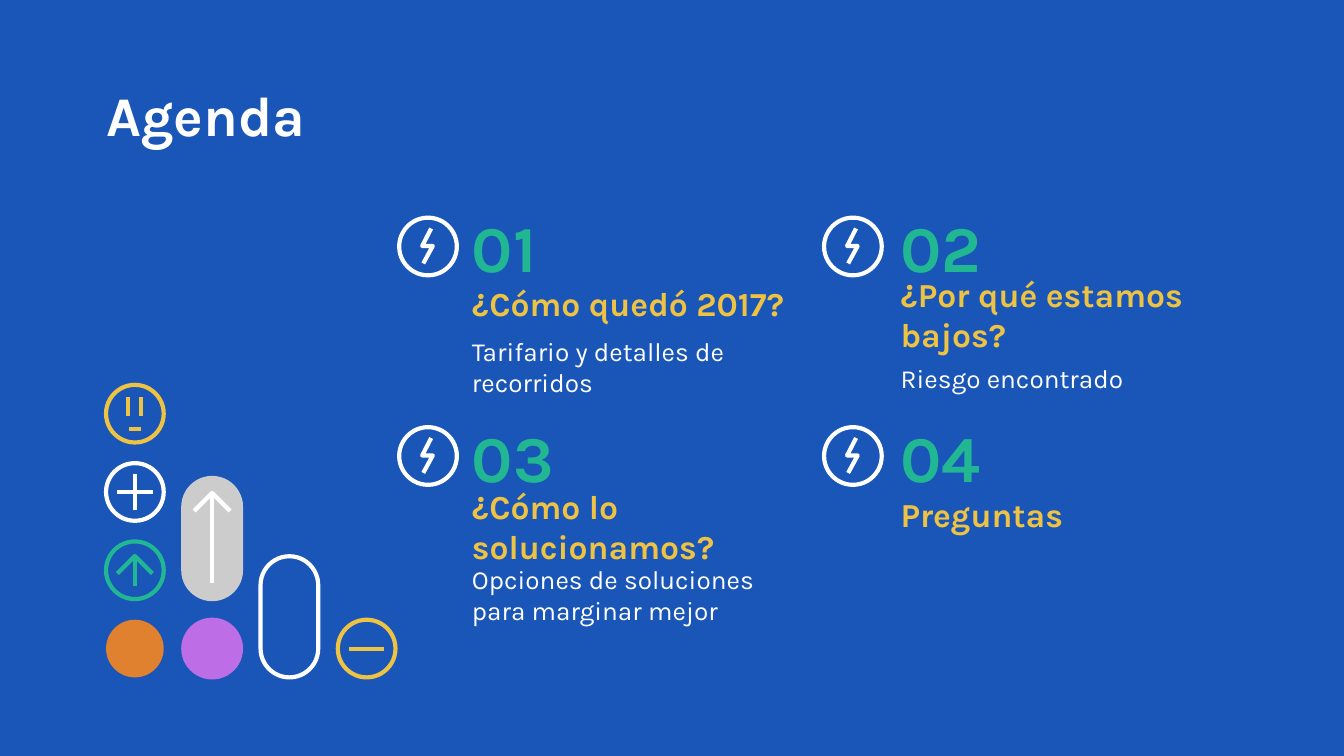
from pptx import Presentation
from pptx.dml.color import RGBColor
from pptx.enum.shapes import MSO_CONNECTOR, MSO_SHAPE
from pptx.enum.text import MSO_ANCHOR
from pptx.oxml.ns import qn
from pptx.util import Cm, Pt
from lxml import etree

OVAL, PILL = MSO_SHAPE.OVAL, MSO_SHAPE.ROUNDED_RECTANGLE
STRAIGHT, MIDDLE = MSO_CONNECTOR.STRAIGHT, MSO_ANCHOR.MIDDLE

BLUE = RGBColor(0x1A, 0x56, 0xB8)
WHITE = RGBColor(0xFF, 0xFF, 0xFF)
YELLOW = RGBColor(0xEE, 0xC2, 0x42)
GREEN = RGBColor(0x21, 0xB7, 0x93)
ORANGE = RGBColor(0xE0, 0x81, 0x30)
PURPLE = RGBColor(0xBD, 0x6D, 0xE6)
GREY = RGBColor(0xCC, 0xCC, 0xCC)

# Content: column, row, number, heading, heading top, detail, detail top
ITEMS = [
    (0, 0, "01", "¿Cómo quedó 2017?", 5.23, "Tarifario y detalles de recorridos", 6.25),
    (1, 0, "02", "¿Por qué estamos bajos?", 5.44, "Riesgo encontrado", 6.48),
    (0, 1, "03", "¿Cómo lo solucionamos?", 9.45,
     "Opciones de soluciones para marginar mejor", 10.57),
    (1, 1, "04", "Preguntas", 9.22, None, None),
]
ICON_X, TEXT_X, ICON_Y = (8.09, 16.12), (8.92, 17.02), (4.66, 8.62)

FORMATS = {
    "title": dict(size=Pt(30), bold=True),
    "number": dict(size=Pt(35), bold=True),
    "heading": dict(size=Pt(18), bold=True),
    "detail": dict(size=Pt(14), bold=False),
}

# Icon strokes, as offsets in cm from the icon centre
BOLT = [[(.06, -.34), (-.11, -.01), (.09, -.01), (-.09, .32)]]
FACE = [[(-.13, .04), (-.13, -.32)], [(.11, .04), (.11, -.32)], [(-.11, .29), (.11, .29)]]
PLUS = [[(0, .34), (0, -.34)], [(-.34, 0), (.34, 0)]]
MINUS = [[(-.33, 0), (.33, 0)]]
ARROW = [[(.33, .06), (0, -.27), (-.33, .06)], [(0, -.27), (0, .29)]]
TALL = [[(.34, -1.12), (0, -1.46), (-.34, -1.12)], [(0, -1.46), (0, .24)]]

# Badges: column, row, height, fill, line, strokes, stroke colour
SIZE, LONG = 1.09, 2.29
BADGES = [
    (0, 0, SIZE, None, YELLOW, FACE, YELLOW),
    (0, 1, SIZE, None, WHITE, PLUS, WHITE),
    (0, 2, SIZE, None, GREEN, ARROW, GREEN),
    (0, 3, SIZE, ORANGE, None, [], None),
    (1, 2, LONG, GREY, GREY, TALL, WHITE),
    (1, 3, SIZE, PURPLE, PURPLE, [], None),
    (2, 3, LONG, None, WHITE, [], None),
    (3, 3, SIZE, None, YELLOW, MINUS, YELLOW),
]
LEFT, TOP, STEP_X, STEP_Y = 2.55, 7.82, 1.46, 1.48

deck = Presentation()
deck.slide_width, deck.slide_height = Cm(25.4), Cm(14.29)
slide = deck.slides.add_slide(deck.slide_layouts[6])
slide.background.fill.solid()
slide.background.fill.fore_color.rgb = BLUE
shapes = slide.shapes


def paint(shape, fill, line):
    shape.shadow.inherit = False
    if fill is None:
        shape.fill.background()
    else:
        shape.fill.solid()
        shape.fill.fore_color.rgb = fill
    if line is None:
        shape.line.fill.background()
    else:
        shape.line.color.rgb = line
        shape.line.width = Pt(2.25)


def stroke(x, y, points, color):
    spots = [(Cm(x + dx), Cm(y + dy)) for dx, dy in points]
    if len(spots) == 2:
        line = shapes.add_connector(STRAIGHT, *spots[0], *spots[1])
        line.line.color.rgb = color
        line.line.width = Pt(2.25)
        etree.SubElement(line._element.spPr, qn("a:effectLst"))
    else:
        form = shapes.build_freeform(*spots[0])
        form.add_line_segments(spots[1:], close=False)
        paint(form.convert_to_shape(), None, color)


def badge(x, y, high, fill, line, strokes, color):
    """Round badge; a taller one keeps its foot on the same row."""
    kind = OVAL if high == SIZE else PILL
    body = shapes.add_shape(kind, Cm(x - SIZE / 2), Cm(y + SIZE / 2 - high),
                            Cm(SIZE), Cm(high))
    if kind == PILL:
        body.adjustments[0] = 0.5
    paint(body, fill, line)
    for points in strokes:
        stroke(x, y, points, color)


def write(text, style, color, x, y, wide, high):
    frame = shapes.add_textbox(Cm(x), Cm(y), Cm(wide), Cm(high)).text_frame
    layout = dict(word_wrap=True, vertical_anchor=MIDDLE, margin_left=0,
                  margin_right=0, margin_top=0, margin_bottom=0)
    for name, value in layout.items():
        setattr(frame, name, value)
    run = frame.paragraphs[0].add_run()
    run.text = text
    run.font.name = "Karla"
    run.font.color.rgb = color
    for name, value in FORMATS[style].items():
        setattr(run.font, name, value)


# Badge cluster
for col, row, *look in BADGES:
    badge(LEFT + col * STEP_X, TOP + row * STEP_Y, *look)

# Title and agenda items
write("Agenda", "title", WHITE, 2.01, 1.5, 21.41, 1.32)
for col, row, number, head, head_y, detail, detail_y in ITEMS:
    x, y = TEXT_X[col], ICON_Y[row]
    badge(ICON_X[col], y, SIZE, None, WHITE, BOLT, WHITE)
    write(number, "number", GREEN, x, y - SIZE / 2, 2.03, SIZE)
    write(head, "heading", YELLOW, x, head_y, 6.4, 0.99)
    if detail:
        write(detail, "detail", WHITE, x, detail_y, 6.4, 1.35)

deck.save("out.pptx")
